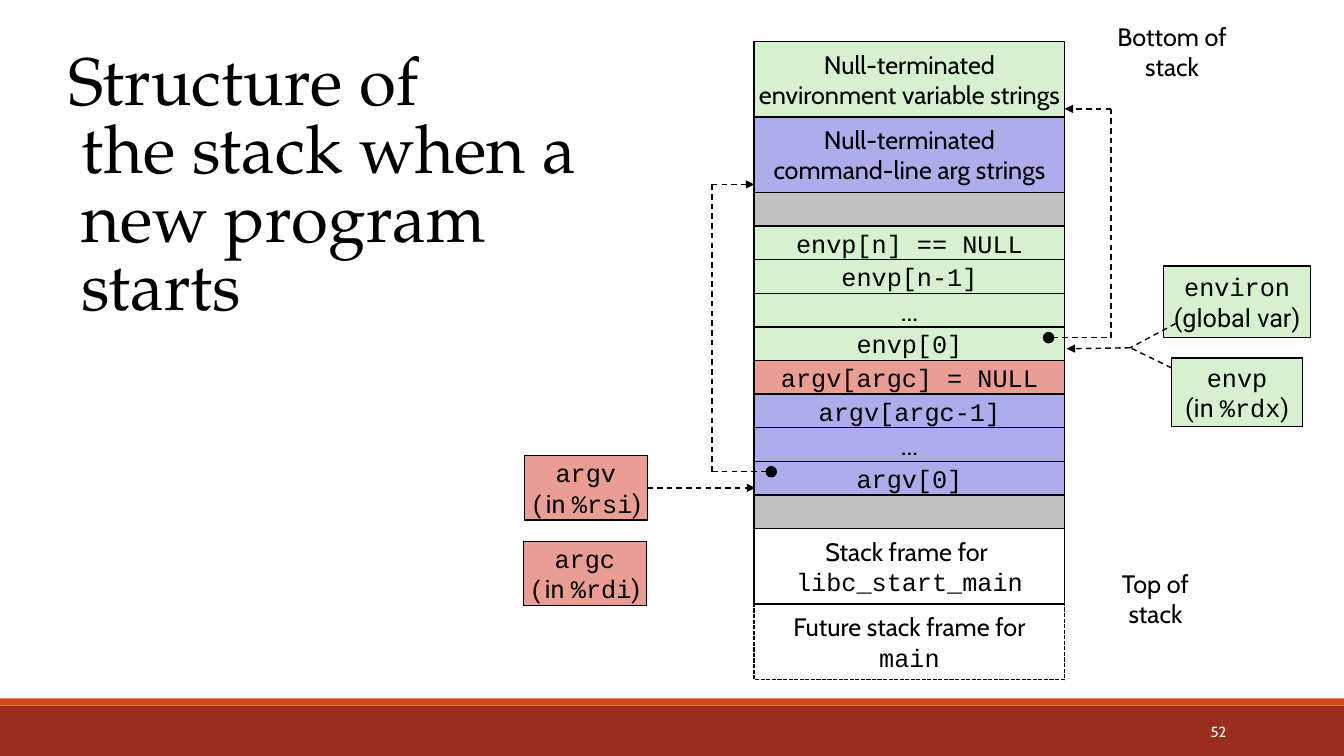
from itertools import pairwise
from lxml.etree import SubElement
from pptx import Presentation
from pptx.dml.color import RGBColor
from pptx.enum.dml import MSO_LINE
from pptx.enum.shapes import MSO_CONNECTOR, MSO_SHAPE
from pptx.enum.text import MSO_ANCHOR, PP_ALIGN
from pptx.oxml.ns import qn
from pptx.util import Inches, Pt

COLOURS = {"green": "D5F1CF", "blue": "ADADEB", "red": "E99D93", "grey": "C0C0C0",
           "black": "000000", "white": "FFFFFF", "footer": "9B2D1F", "stripe": "D34817"}
SANS, MONO, LABEL, SERIF = "Cabin", "Courier New", "Roboto", "TeX Gyre Pagella"

# Content: text is a list of paragraphs, each a list of (words, font) runs
TITLE = "Structure of \vthe stack when a new program starts"
STACK_LEFT, STACK_TOP, STACK_WIDTH = 7.48, 0.41, 3.08
TALL, LOW = 0.75, 1 / 3


def row(words, fill):
    return LOW, fill, [[(words, MONO)]], 18


def dots(fill):
    return LOW, fill, [[("...", SANS)]], 20


GAP = (LOW, "grey", [], 18)
STACK = [
    (TALL, "green", [[("Null-terminated", SANS)], [("environment variable strings", SANS)]], 18),
    (TALL, "blue", [[("Null-terminated", SANS)], [("command-line arg strings", SANS)]], 18),
    GAP,
    row("envp[n] == NULL", "green"),
    row("envp[n-1]", "green"),
    dots("green"),
    row("envp[0]", "green"),
    row("argv[argc] = NULL", "red"),
    row("argv[argc-1]", "blue"),
    dots("blue"),
    row("argv[0]", "blue"),
    GAP,
    (TALL, None, [[("Stack frame for ", SANS)], [("libc_start_main", MONO)]], 18),
    (TALL, None, [[("Future stack frame for", SANS)], [("main", MONO)]], 18),
]


def register(name, opening, number):
    return [[(name, MONO)], opening + [(number, MONO), (")", LABEL)]]


IN_MONO = [("(", MONO), ("in ", LABEL)]
VARIABLES = {
    "environ": (11.54, 2.64, 1.46, 0.71, "green",
                [[("environ", MONO)], [("(global var)", LABEL)]]),
    "envp": (11.62, 3.55, 1.3, 0.68, "green", register("envp", [("(in ", LABEL)], "%rdx")),
    "argv": (5.2, 4.52, 1.22, 0.64, "red", register("argv", IN_MONO, "%rsi")),
    "argc": (5.19, 5.37, 1.22, 0.64, "red", register("argc", IN_MONO, "%rdi")),
}
LABELS = [(10.81, 0.31, 1.63, "Bottom of\vstack"), (10.79, 5.74, 1.34, "Top of\vstack")]
POINTERS = [(7.6, 4.63), (10.35, 3.3)]
DOT = 0.1
FORK = (11.21, 3.45)
# Dashed routes: points, arrowhead at the last point
ROUTES = [
    ([(7.6, 4.68), (7.06, 4.68), (7.06, 1.83), (7.48, 1.83)], True),
    ([(10.44, 3.35), (11.02, 3.35), (11.02, 1.08), (10.56, 1.08)], True),
    ([(11.66, 3.21), FORK], False),
    ([(11.62, 3.65), FORK], False),
    ([FORK, (10.58, 3.46)], True),
]

deck = Presentation()
deck.slide_width, deck.slide_height = Inches(13.33), Inches(7.5)
page = deck.slides.add_slide(deck.slide_layouts[6])


def colour(name):
    return RGBColor.from_string(COLOURS[name])


def write(box, paragraphs, size, align=PP_ALIGN.CENTER, ink="black", wrap=False):
    frame = box.text_frame
    frame.word_wrap = wrap
    frame.vertical_anchor = MSO_ANCHOR.MIDDLE
    for index, runs in enumerate(paragraphs):
        para = frame.add_paragraph() if index else frame.paragraphs[0]
        para.alignment = align
        for words, font in runs:
            for part, line in enumerate(words.split("\v")):
                if part:
                    para.add_line_break()
                span = para.add_run()
                span.text = line
                span.font.name, span.font.size = font, Pt(size)
                span.font.color.rgb = colour(ink)


def add_box(left, top, width, height, fill, outline="black", kind=MSO_SHAPE.RECTANGLE):
    box = page.shapes.add_shape(kind, Inches(left), Inches(top), Inches(width), Inches(height))
    box.shadow.inherit = False
    if fill:
        box.fill.solid()
        box.fill.fore_color.rgb = colour(fill)
    else:
        box.fill.background()
    if outline:
        box.line.color.rgb = colour(outline)
        box.line.width = Pt(1)
    else:
        box.line.fill.background()
    return box


def add_text(left, top, width, height, words, font, size, **style):
    box = page.shapes.add_textbox(Inches(left), Inches(top), Inches(width), Inches(height))
    write(box, [[(words, font)]], size, **style)
    return box


def add_dashed(start, end, arrow):
    link = page.shapes.add_connector(MSO_CONNECTOR.STRAIGHT, *map(Inches, start + end))
    link.line.color.rgb = colour("black")
    link.line.width = Pt(1)
    link.line.dash_style = MSO_LINE.DASH
    if arrow:
        SubElement(link.line._get_or_add_ln(), qn("a:tailEnd"), type="triangle")
    SubElement(link._element.spPr, qn("a:effectLst"))
    return link


# Footer and slide number
add_box(0, 7, 13.33, 0.5, "footer", None)
add_box(0, 6.93, 13.33, 0.07, "stripe", None)
add_text(10.83, 7.06, 1.43, 0.4, "52", SANS, 10.5, align=PP_ALIGN.RIGHT, ink="white", wrap=True)

# Title with a hanging indent
title = add_text(0.58, 0.64, 6.07, 2.44, TITLE, SERIF, 48, align=PP_ALIGN.LEFT, wrap=True)
heading = title.text_frame.paragraphs[0]
heading.line_spacing = 0.85
indent = heading._p.get_or_add_pPr()
indent.set("marL", str(Inches(0.13)))
indent.set("indent", str(Inches(-0.13)))

# Stack, from its bottom (high addresses) down to its top
top = STACK_TOP
for height, fill, paragraphs, size in STACK:
    cell = add_box(STACK_LEFT, top, STACK_WIDTH, height, fill)
    write(cell, paragraphs, size)
    top += height
cell.line.dash_style = MSO_LINE.SQUARE_DOT  # the future frame

# Variables beside the stack
variable_boxes = {}
for name, (left, top, width, height, fill, paragraphs) in VARIABLES.items():
    variable_boxes[name] = add_box(left, top, width, height, fill)
    write(variable_boxes[name], paragraphs, 18)
for left, top, width, words in LABELS:
    add_text(left, top, width, 0.4, words, SANS, 18)

# Pointers and their routes
for points, arrow in ROUTES:
    for start, end in pairwise(points):
        add_dashed(start, end, arrow and end == points[-1])
argv_link = add_dashed((6.42, 4.84), (7.49, 4.84), True)
argv_link.begin_connect(variable_boxes["argv"], 3)
for left, top in POINTERS:
    add_box(left, top, DOT, DOT, "black", kind=MSO_SHAPE.OVAL)

deck.save("out.pptx")
